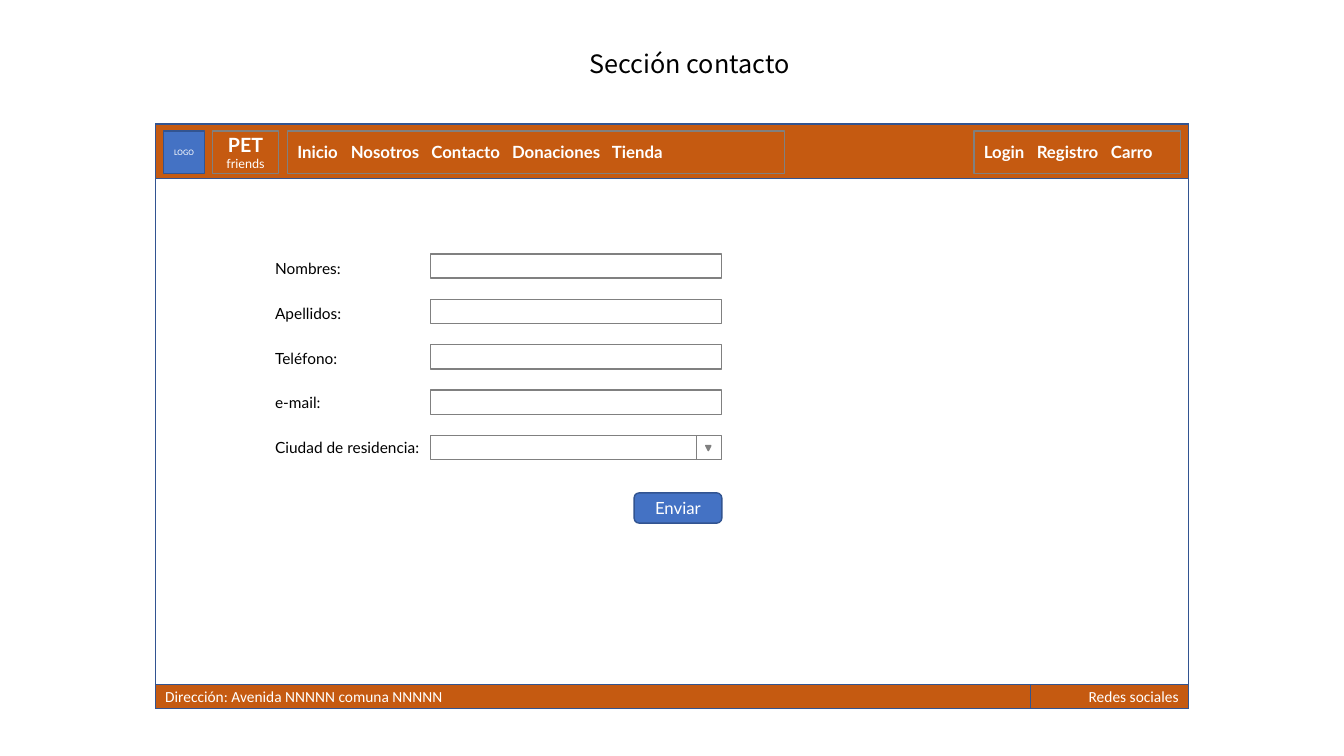
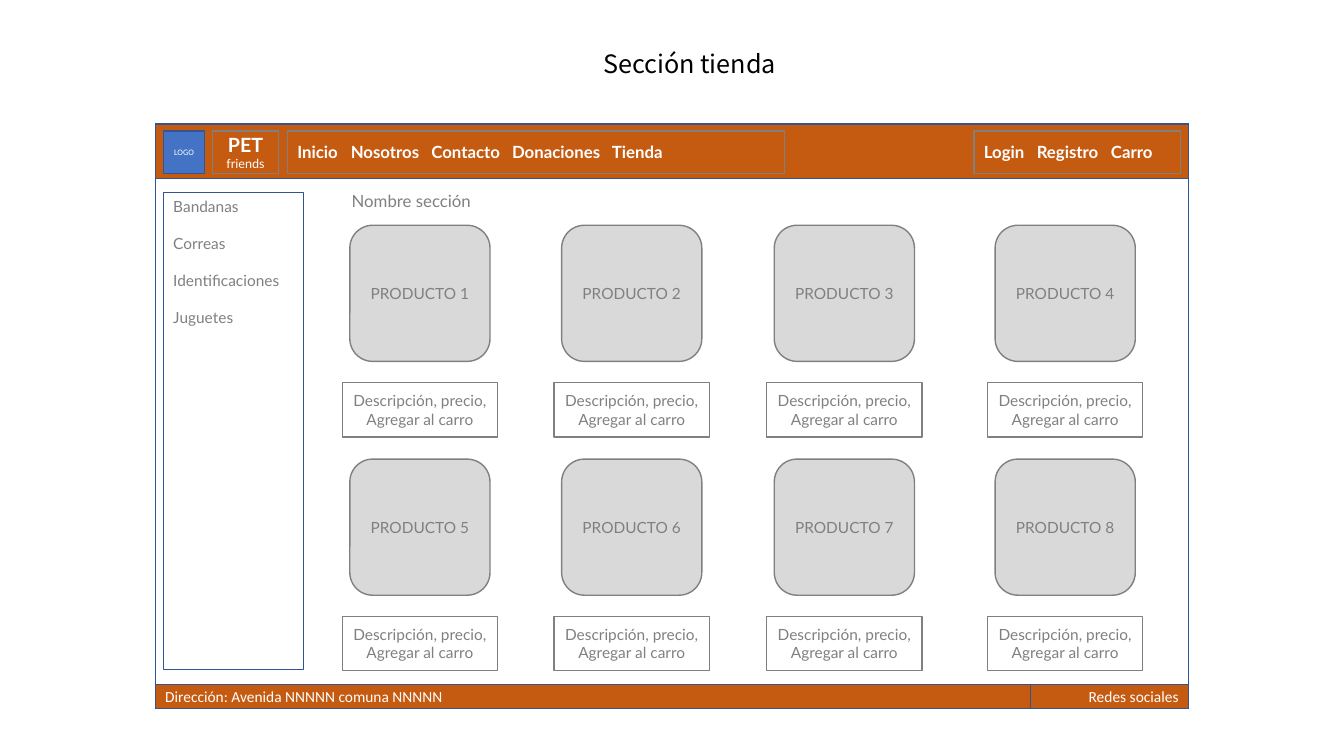
"""Two wireframes of a pet shop site: the contact form and the store."""
from dataclasses import dataclass
from itertools import product
from typing import Optional

from lxml import etree
from pptx import Presentation
from pptx.dml.color import RGBColor
from pptx.enum.shapes import MSO_CONNECTOR, MSO_SHAPE
from pptx.enum.text import MSO_ANCHOR, PP_ALIGN
from pptx.oxml.ns import qn
from pptx.util import Inches, Pt

ORANGE = RGBColor(0xC5, 0x5A, 0x11)
BLUE = RGBColor(0x44, 0x72, 0xC4)
NAVY = RGBColor(0x32, 0x54, 0x91)
GRAY = RGBColor(0x80, 0x80, 0x80)
LIGHT_GRAY = RGBColor(0xD9, 0xD9, 0xD9)
WHITE = RGBColor(0xFF, 0xFF, 0xFF)
BLACK = RGBColor(0, 0, 0)

SLIDE_W, SLIDE_H = Inches(13.33), Inches(7.5)


@dataclass(frozen=True)
class Area:
    """A rectangle in percent of the slide's width and height."""
    x: float
    y: float
    w: float
    h: float

    def emu(self) -> tuple:
        """Return left, top, width and height in EMU."""
        return across(self.x), down(self.y), across(self.w), down(self.h)


@dataclass(frozen=True)
class Style:
    """Look of a run of text."""
    size: float
    color: RGBColor = WHITE
    font: str = "Lato"
    bold: bool = False


@dataclass(frozen=True)
class Line:
    """One paragraph."""
    text: str
    style: Style
    align: PP_ALIGN = PP_ALIGN.LEFT
    space_after: float = 0
    tabs: tuple = ()


@dataclass(frozen=True)
class Box:
    """An outlined shape with optional fill and text."""
    area: Area
    fill: Optional[RGBColor] = None
    border: RGBColor = GRAY
    lines: tuple = ()
    anchor: MSO_ANCHOR = MSO_ANCHOR.MIDDLE
    shape: MSO_SHAPE = MSO_SHAPE.RECTANGLE
    rotation: float = 0


TITLE = Style(18, BLACK, "Noto Sans CJK TC")
LOGO = Style(6, font="Calibri")
FOOTER = Style(11, font="Calibri")
BRAND, BRAND_SMALL = Style(14, bold=True), Style(9)
MENU = Style(12, bold=True)
BUTTON = Style(12)
LABEL = Style(11, BLACK)
STORE = Style(11, GRAY)
SECTION = Style(12, GRAY)

# Page frame, in percent of the slide
LEFT, TOP, WIDTH, HEIGHT = 11.55, 16.4, 76.9, 77.33
HEADER_H, FOOTER_H = 7.2, 3.2
FOOTER_Y = TOP + HEIGHT - FOOTER_H
FOOTER_SPLIT = 65.12
MENU_Y, MENU_H = 17.33, 5.6
INNER_X = 12.15

# Contact form
FIELDS = ("Nombres:", "Apellidos:", "Teléfono:", "e-mail:",
          "Ciudad de residencia:")
FORM_Y, LABEL_X, INPUT_X = 33.6, 19.73, 32.03
LABEL_PITCH, INPUT_PITCH = 5.93, 6
INPUT_W, INPUT_H = 21.68, 3.2
ARROW_CELL_X = 51.84

# Store
CATEGORIES = ("Bandanas", "Correas", "Identificaciones", "Juguetes")
CARD_COLUMNS = (26.03, 41.79, 57.61, 74.04)
CARD_ROWS = (29.8, 60.73)
CARD_W, CARD_H = 10.43, 18
DETAIL_W, DETAIL_H, DETAIL_DROP = 11.55, 7.2, 20.8


def across(share: float) -> int:
    """Convert a percentage of the slide width to EMU."""
    return round(SLIDE_W * share / 100)


def down(share: float) -> int:
    """Convert a percentage of the slide height to EMU."""
    return round(SLIDE_H * share / 100)


def centred(text: str, style: Style) -> Line:
    """Return a centred paragraph."""
    return Line(text, style, PP_ALIGN.CENTER)


def menu(items: tuple, tabs: tuple) -> Line:
    """Return menu entries set on tab stops."""
    return Line("\t".join(items), MENU, tabs=tabs)


def write(frame, lines: tuple) -> None:
    """Fill a text frame with paragraphs."""
    frame.word_wrap = True
    for index, line in enumerate(lines):
        paragraph = frame.add_paragraph() if index else frame.paragraphs[0]
        paragraph.alignment = line.align
        if line.space_after:
            paragraph.space_after = Pt(line.space_after)
        if line.tabs:
            properties = paragraph._p.get_or_add_pPr()
            stops = etree.SubElement(properties, qn("a:tabLst"))
            for tab in line.tabs:
                etree.SubElement(stops, qn("a:tab"),
                                 pos=str(across(tab)), algn="l")
        run = paragraph.add_run()
        run.text = line.text
        font = run.font
        font.name, font.size = line.style.font, Pt(line.style.size)
        font.bold = line.style.bold
        font.color.rgb = line.style.color


def draw_box(slide, box: Box) -> None:
    """Draw an outlined shape."""
    shape = slide.shapes.add_shape(box.shape, *box.area.emu())
    shape.shadow.inherit = False
    shape.rotation = box.rotation
    if box.fill is None:
        shape.fill.background()
    else:
        shape.fill.solid()
        shape.fill.fore_color.rgb = box.fill
    shape.line.color.rgb = box.border
    shape.line.width = Pt(1)
    shape.text_frame.vertical_anchor = box.anchor
    write(shape.text_frame, box.lines)


def draw_text(slide, area: Area, line: Line) -> None:
    """Draw a plain text box."""
    write(slide.shapes.add_textbox(*area.emu()).text_frame, (line,))


def draw_divider(slide, x: float, top: float, bottom: float) -> None:
    """Draw a thin vertical line."""
    line = slide.shapes.add_connector(
        MSO_CONNECTOR.STRAIGHT, across(x), down(top), across(x), down(bottom))
    line.line.color.rgb = GRAY
    line.line.width = Pt(0.5)
    etree.SubElement(line._element.spPr, qn("a:effectLst"))


PAGE_BOXES = (
    Box(Area(LEFT, TOP, WIDTH, HEIGHT), border=NAVY),
    Box(Area(LEFT, TOP, WIDTH, HEADER_H), ORANGE, NAVY),
    Box(Area(INNER_X, MENU_Y, 3.08, MENU_H), BLUE, NAVY,
        (centred("LOGO", LOGO),)),
    Box(Area(15.83, MENU_Y, 4.88, MENU_H),
        lines=(centred("PET", BRAND), centred("friends", BRAND_SMALL))),
    Box(Area(21.38, MENU_Y, 36.98, MENU_H), lines=(
        menu(("Inicio", "Nosotros", "Contacto", "Donaciones", "Tienda"),
             (3.98, 9.98, 15.98, 23.41)),)),
    Box(Area(72.47, MENU_Y, 15.38, MENU_H), lines=(
        menu(("Login", "Registro", "Carro"), (3.93, 9.45)),)),
    Box(Area(LEFT, FOOTER_Y, FOOTER_SPLIT, FOOTER_H), ORANGE, NAVY,
        (Line("Dirección: Avenida NNNNN comuna NNNNN", FOOTER),)),
    Box(Area(LEFT + FOOTER_SPLIT, FOOTER_Y, WIDTH - FOOTER_SPLIT, FOOTER_H),
        ORANGE, NAVY, (Line("Redes sociales", FOOTER, PP_ALIGN.RIGHT),)),
)


def add_page(deck, title: str):
    """Add a slide with the title and the site's header and footer."""
    slide = deck.slides.add_slide(deck.slide_layouts[6])
    for box in PAGE_BOXES:
        draw_box(slide, box)
    draw_text(slide, Area(19.73, 5.73, 63.17, 5.33), centred(title, TITLE))
    return slide


def add_contact(deck) -> None:
    """Build the contact form."""
    slide = add_page(deck, "Sección contacto")
    for row, label in enumerate(FIELDS):
        draw_text(slide, Area(LABEL_X, FORM_Y + row * LABEL_PITCH, 13.43, 3.87),
                  Line(label, LABEL))
        draw_box(slide, Box(Area(INPUT_X, FORM_Y + row * INPUT_PITCH,
                                 INPUT_W, INPUT_H)))
    city_y = FORM_Y + (len(FIELDS) - 1) * INPUT_PITCH
    draw_divider(slide, ARROW_CELL_X, city_y, city_y + INPUT_H)
    draw_box(slide, Box(Area(52.51, city_y + 1.33, 0.38, 0.67), GRAY,
                        shape=MSO_SHAPE.ISOSCELES_TRIANGLE, rotation=180))
    button_w = 6.53
    draw_box(slide, Box(Area(INPUT_X + INPUT_W - button_w, 65.2, button_w, 4),
                        BLUE, NAVY, (centred("Enviar", BUTTON),),
                        shape=MSO_SHAPE.ROUNDED_RECTANGLE))


def add_store(deck) -> None:
    """Build the store with its category list and product grid."""
    slide = add_page(deck, "Sección tienda")
    draw_box(slide, Box(
        Area(INNER_X, 25.47, CARD_W, 63.07), border=NAVY,
        lines=tuple(Line(name, STORE, space_after=13.2) for name in CATEGORIES),
        anchor=MSO_ANCHOR.TOP))
    detail = (centred("Descripción, precio, Agregar al carro", STORE),)
    inset = (DETAIL_W - CARD_W) / 2
    for number, (y, x) in enumerate(product(CARD_ROWS, CARD_COLUMNS), 1):
        draw_box(slide, Box(Area(x, y, CARD_W, CARD_H), LIGHT_GRAY,
                            lines=(centred(f"PRODUCTO {number}", STORE),),
                            shape=MSO_SHAPE.ROUNDED_RECTANGLE))
        draw_box(slide, Box(Area(x - inset, y + DETAIL_DROP,
                                 DETAIL_W, DETAIL_H), lines=detail))
    draw_text(slide, Area(25.43, 24.53, 23.56, 4),
              Line("Nombre sección", SECTION))


def main() -> None:
    """Build and save the deck."""
    deck = Presentation()
    deck.slide_width, deck.slide_height = SLIDE_W, SLIDE_H
    add_contact(deck)
    add_store(deck)
    deck.save("out.pptx")


main()
